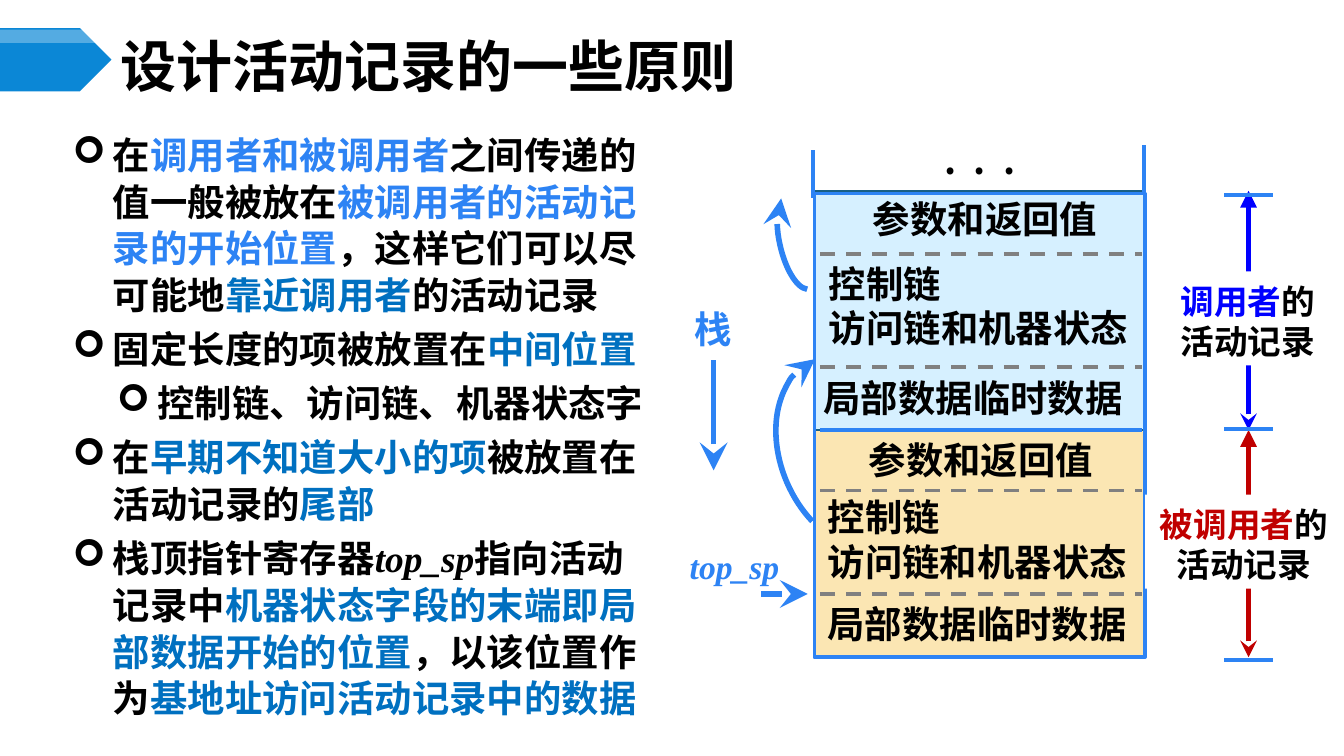
import pptx
import pptx.util
import pptx.dml.color
import pptx.enum.dml
import pptx.enum.shapes
import pptx.enum.text
import pptx.oxml.ns
import lxml.etree

Inches, Pt = pptx.util.Inches, pptx.util.Pt
SHAPE = pptx.enum.shapes.MSO_SHAPE
ALIGN = pptx.enum.text.PP_ALIGN
ANCHOR = pptx.enum.text.MSO_ANCHOR

THEME = {
    "font": "Noto Sans CJK SC", "math_font": "Times New Roman", "bullet_font": "Wingdings",
    "title": 30, "body": 20, "label": 18,
    "black": "000000", "white": "FFFFFF", "banner": "0B87D6",
    "bright": "2D83F4", "deep": "0070C0", "edge": "195F84", "gray": "808080",
    "caller": "0000FF", "callee": "C00000",
    "caller_fill": "D6F0FF", "callee_fill": "FBE6B3",
    "thin": 1.25, "medium": 2, "thick": 3,
}

TITLE = "设计活动记录的一些原则"
PRINCIPLES = [
    (0, [("在", "black"), ("调用者和被调用者", "bright"), ("之间传递的值一般被放在", "black"),
         ("被调用者的活动记录的开始位置", "bright"), ("，这样它们可以尽可能地", "black"),
         ("靠近调用者", "deep"), ("的活动记录", "black")]),
    (0, [("固定长度的项被放置在", "black"), ("中间位置", "deep")]),
    (1, [("控制链、访问链、机器状态字", "black")]),
    (0, [("在", "black"), ("早期不知道大小的项", "deep"), ("被放置在活动记录的", "black"), ("尾部", "deep")]),
    (0, [("栈顶指针寄存器", "black"), ("top_sp", "black", "math_font"), ("指向活动记录中", "black"),
         ("机器状态字段的末端即局部数据开始的位置", "deep"), ("，以该位置作为", "black"),
         ("基地址访问活动记录中的数据", "deep")]),
]
FIELDS = [["参数和返回值"], ["控制链", "访问链和机器状态"], ["局部数据临时数据"]]
RECORDS = [
    {"key": "caller", "name": "调用者", "rows": (1.42, 1.89, 2.73, 3.2), "label": (8.65, 2.02, 1.27, 0.7),
     "fields": [(6.15, 1.37, 2.36), (6.07, 1.85, 3.54), (6.03, 2.7, 2.66)]},
    {"key": "callee", "name": "被调用者", "rows": (3.2, 3.65, 4.42, 4.89), "label": (8.52, 3.68, 1.47, 0.7),
     "fields": [(6.17, 3.16, 2.26), (6.06, 3.59, 2.85), (6.06, 4.38, 2.66)]},
]
LINK_ARCS = [
    {"box": (5.81, 2.61, 1.11, 1.52), "rotation": 156.6, "angles": (161.938, 20.575)},
    {"box": (5.8, 1.42, 0.29, 0.74), "rotation": 167.6, "angles": (168.311, 52.295)},
]
STACK_LEFT, STACK_RIGHT = 6.06, 8.51
STACK_WIDTH = STACK_RIGHT - STACK_LEFT
FIELD_HEIGHT = 0.53
BRACKET_X, BRACKET_HALF = 9.29, 0.18
TOP_SP_Y = RECORDS[1]["rows"][2]
LABEL_INSETS = (0.1, 0.09, 0.1, 0.05)
PLACEHOLDER_INSETS = (0.07, 0.04, 0.07, 0.04)

presentation = pptx.Presentation()
presentation.slide_width = Inches(10)
presentation.slide_height = presentation.slide_width * 9 // 16
slide = presentation.slides.add_slide(presentation.slide_layouts[6])


def color(name):
    return pptx.dml.color.RGBColor.from_string(THEME[name])


def add_xml(parent, tag, **attributes):
    element = lxml.etree.SubElement(parent, pptx.oxml.ns.qn(tag))
    for name, value in attributes.items():
        element.set(name, value)
    return element


def style_line(line, ink, width, head=None, tail=None, tip="med", dashed=False):
    line.color.rgb = color(ink)
    line.width = Pt(THEME[width])
    if dashed:
        line.dash_style = pptx.enum.dml.MSO_LINE.DASH
    for tag, kind in (("a:headEnd", head), ("a:tailEnd", tail)):
        if kind:
            add_xml(line._get_or_add_ln(), tag, type=kind, w=tip, len=tip)


def add_block(kind, box, fill=None, ink=None, width="medium"):
    shape = slide.shapes.add_shape(kind, *map(Inches, box))
    shape.shadow.inherit = False
    if fill:
        shape.fill.solid()
        shape.fill.fore_color.rgb = color(fill)
    else:
        shape.fill.background()
    if ink:
        style_line(shape.line, ink, width)
    else:
        shape.line.fill.background()
    return shape


def add_line(start, end, ink, width, **ends):
    connector = slide.shapes.add_connector(
        pptx.enum.shapes.MSO_CONNECTOR.STRAIGHT, *map(Inches, start + end))
    style_line(connector.line, ink, width, **ends)
    add_xml(connector._element.spPr, "a:effectLst")


def write_text(paragraphs, box=None, shape=None, size="body", align=ALIGN.LEFT,
               anchor=ANCHOR.TOP, insets=LABEL_INSETS, bullets=False, tracking=None):
    shape = shape or slide.shapes.add_textbox(*map(Inches, box))
    frame = shape.text_frame
    frame.word_wrap = True
    frame.vertical_anchor = anchor
    frame.margin_left, frame.margin_top, frame.margin_right, frame.margin_bottom = map(Inches, insets)
    for index, (level, runs) in enumerate(paragraphs):
        paragraph = frame.paragraphs[0] if index == 0 else frame.add_paragraph()
        paragraph.alignment = align
        if bullets:
            paragraph.level = level
            paragraph.line_spacing = Pt(25)
            paragraph.space_before = Pt(4 if index else 0)
            properties = paragraph._p.get_or_add_pPr()
            properties.set("marL", str(Inches(0.3 + 0.33 * level)))
            properties.set("indent", str(Inches(-0.3)))
            add_xml(properties, "a:buFont", typeface=THEME["bullet_font"], charset="2")
            add_xml(properties, "a:buChar", char="➢")
        for text, ink, *special in runs:
            run = paragraph.add_run()
            run.text = text
            font = run.font
            font.size, font.bold, font.italic = Pt(THEME[size]), True, bool(special)
            font.color.rgb = color(ink)
            font.name = THEME[special[0] if special else "font"]
            add_xml(font._element, "a:ea", typeface=THEME["font"])
            if tracking:
                font._element.set("spc", str(tracking))


add_block(SHAPE.PENTAGON, (0, 0.21, 0.83, 0.47), "banner")
highlight = add_block(SHAPE.PENTAGON, (0, 0.22, 0.83, 0.1), "white")
highlight_color = highlight._element.spPr.find(".//" + pptx.oxml.ns.qn("a:srgbClr"))
add_xml(highlight_color, "a:alpha", val="30000")

write_text(PRINCIPLES, (0.47, 0.93, 4.45, 4.49), insets=PLACEHOLDER_INSETS, bullets=True)
write_text([(0, [(TITLE, "black")])], (0.83, 0.29, 8.67, 0.39), size="title",
           anchor=ANCHOR.MIDDLE, insets=PLACEHOLDER_INSETS)

for record in RECORDS:
    top, *dividers, bottom = record["rows"]
    add_block(SHAPE.RECTANGLE, (STACK_LEFT, top, STACK_WIDTH, bottom - top),
              record["key"] + "_fill", "edge", "thin")
    for y in dividers:
        add_line((STACK_LEFT + 0.04, y), (STACK_RIGHT - 0.01, y), "gray", "medium", dashed=True)
    for index, ((left, y, width), lines) in enumerate(zip(record["fields"], FIELDS)):
        write_text([(0, [(line, "black")]) for line in lines], (left, y, width, FIELD_HEIGHT),
                   align=ALIGN.LEFT if index else ALIGN.CENTER)

stack_top, stack_bottom = RECORDS[0]["rows"][0], RECORDS[-1]["rows"][-1]
boundary = RECORDS[1]["rows"][0]
add_line((STACK_LEFT + 0.04, boundary), (STACK_RIGHT - 0.01, boundary), "bright", "medium")
add_block(SHAPE.RECTANGLE, (STACK_LEFT, stack_top + 0.02, STACK_WIDTH + 0.01, stack_bottom - stack_top - 0.02),
          ink="bright")
add_line((STACK_LEFT - 0.01, 1.47), (STACK_LEFT - 0.01, 1.12), "bright", "medium")
add_line((STACK_RIGHT, 1.44), (STACK_RIGHT, 1.08), "bright", "medium")
write_text([(0, [(". . .", "black")])], (6.15, 0.93, 2.28, FIELD_HEIGHT), align=ALIGN.CENTER, tracking=240)

for link in LINK_ARCS:
    arc = add_block(SHAPE.ARC, link["box"])
    style_line(arc.line, "bright", "thick", head="stealth", tip="lg")
    arc.rotation = link["rotation"]
    arc._element.spPr.get_or_add_xfrm().set("flipV", "1")
    for index, angle in enumerate(link["angles"]):
        arc.adjustments[index] = angle

add_line((5.31, 3.5), (5.31, 2.68), "bright", "thick", head="stealth", tip="lg")
write_text([(0, [("栈", "bright")])], (4.99, 2.19, 0.63, FIELD_HEIGHT), align=ALIGN.CENTER)
add_line((6.01, TOP_SP_Y), (5.66, TOP_SP_Y), "bright", "thick", head="stealth", tip="lg")
write_text([(0, [("top_sp", "bright", "math_font")])], (4.92, 3.97, 1.09, FIELD_HEIGHT),
           size="label", align=ALIGN.CENTER)

for record in reversed(RECORDS):
    top, bottom = record["rows"][0], record["rows"][-1]
    add_line((BRACKET_X, bottom), (BRACKET_X, top), record["key"], "thick", head="stealth", tail="triangle")
    label = add_block(SHAPE.RECTANGLE, record["label"], "white")
    write_text([(0, [(record["name"], record["key"]), ("的活动记录", "black")])], shape=label,
               size="label", align=ALIGN.CENTER, anchor=ANCHOR.MIDDLE)
for y in (stack_top + 0.03, boundary - 0.01, stack_bottom + 0.02):
    add_line((BRACKET_X + BRACKET_HALF, y), (BRACKET_X - BRACKET_HALF, y), "bright", "medium")

presentation.save("out.pptx")
